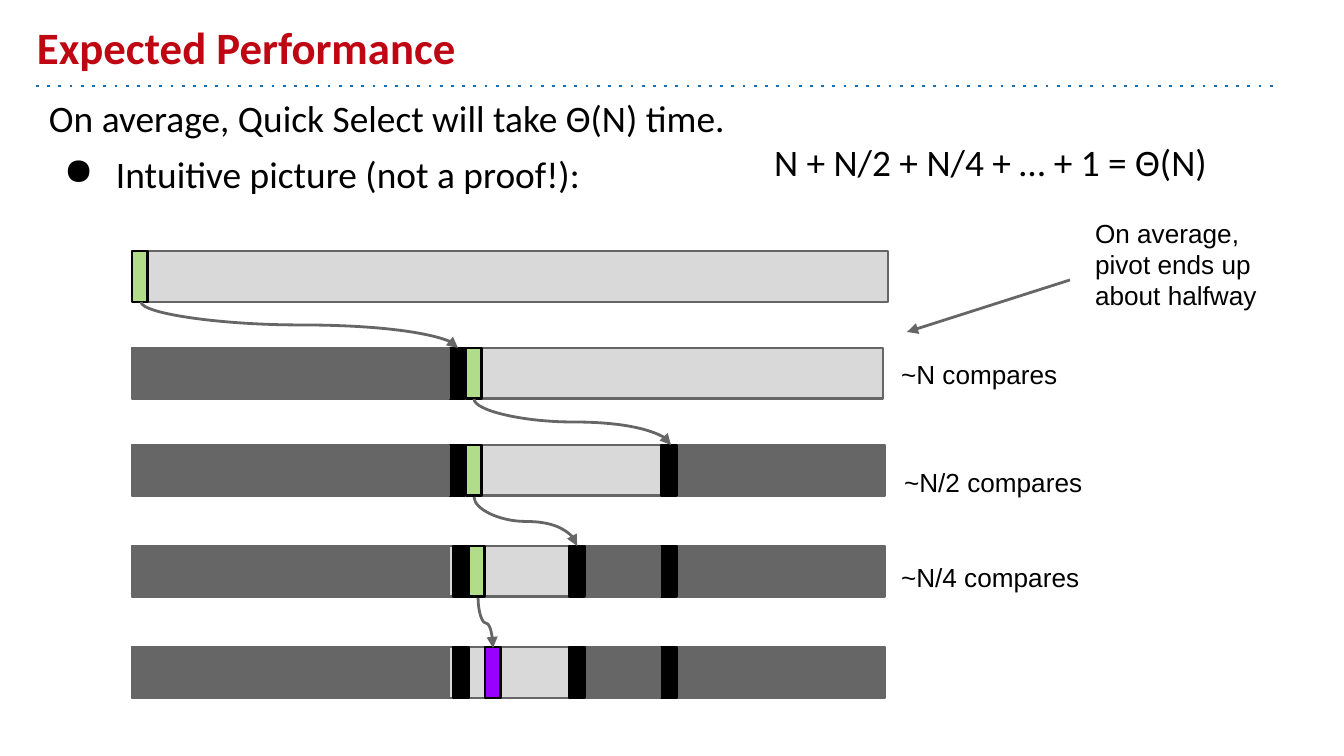
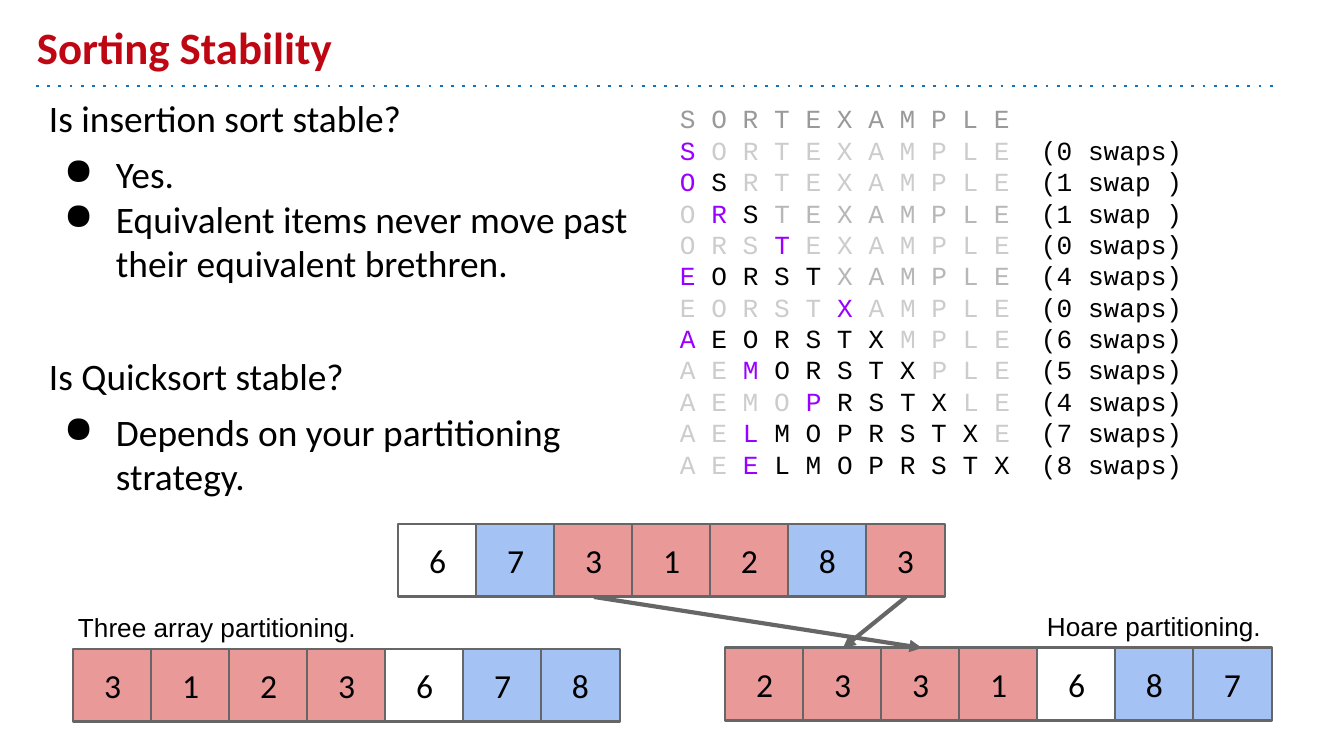
"""Builds two slides on Quick Select performance and sorting stability."""
from lxml.etree import SubElement
from pptx import Presentation
from pptx.dml.color import RGBColor
from pptx.enum.shapes import MSO_CONNECTOR as CONN, MSO_SHAPE as SHAPE
from pptx.enum.text import MSO_ANCHOR as ANCHOR, PP_ALIGN as ALIGN
from pptx.oxml.ns import qn
from pptx.util import Pt

PX = 914400 / 134.4
BLACK = RGBColor(0x00, 0x00, 0x00)
WHITE = RGBColor(0xFF, 0xFF, 0xFF)
RED = RGBColor(0xBE, 0x07, 0x12)
BLUE = RGBColor(0x10, 0x72, 0xBD)
DARK = RGBColor(0x66, 0x66, 0x66)
LIGHT = RGBColor(0xD9, 0xD9, 0xD9)
GREEN = RGBColor(0xB1, 0xDD, 0x8B)
PURPLE = RGBColor(0x99, 0x00, 0xFF)
PINK = RGBColor(0xEA, 0x99, 0x99)
SKY = RGBColor(0xA4, 0xC2, 0xF4)
HEADER_GREY = RGBColor(0x99, 0x99, 0x99)
MID_GREY = RGBColor(0xB7, 0xB7, 0xB7)
PALE_GREY = RGBColor(0xCC, 0xCC, 0xCC)


def add_text(s, box, text, font="Arial", size=14, color=BLACK, bold=False, anchor=ANCHOR.TOP):
    tf = s.shapes.add_textbox(*(round(v * PX) for v in box)).text_frame
    tf.word_wrap = True
    tf.vertical_anchor = anchor
    tf.margin_left = tf.margin_right = tf.margin_top = tf.margin_bottom = round(13 * PX)
    tf.text = text
    for p in tf.paragraphs:
        for r in p.runs:
            r.font.name, r.font.size, r.font.bold = font, Pt(size), bold
            r.font.color.rgb = color
    return tf


def add_box(s, box, fill, line):
    sp = s.shapes.add_shape(SHAPE.RECTANGLE, *(round(v * PX) for v in box))
    sp.shadow.inherit = False
    sp.fill.solid()
    sp.fill.fore_color.rgb = fill
    sp.line.color.rgb = line
    sp.line.width = Pt(1.5)
    return sp


prs = Presentation()
prs.slide_width, prs.slide_height = round(1344 * PX), round(756 * PX)
performance, stability = [prs.slides.add_slide(prs.slide_layouts[6]) for _ in range(2)]

contents = [
    (performance, "Expected Performance", (36, 82, 1240, 155), [
        ("On average, Quick Select will take Θ(N) time.", False, 0),
        ("Intuitive picture (not a proof!):", True, 6),
    ]),
    (stability, "Sorting Stability", (36, 82, 621, 610), [
        ("Is insertion sort stable?", False, 0),
        ("Yes.", True, 6),
        ("Equivalent items never move past their equivalent brethren.", True, 0),
        ("Is Quicksort stable?", False, 36),
        ("Depends on your partitioning strategy.", True, 6),
    ]),
]
for s, title, box, items in contents:
    add_text(s, (24, 13, 1210, 73), title, "Calibri", 24, RED, True, ANCHOR.BOTTOM)
    tf = add_text(s, box, "\n".join(item[0] for item in items), "Calibri", 20)
    for p, (_, bullet, space) in zip(tf.paragraphs, items):
        p.space_before = Pt(space)
        if bullet:
            pPr = p._p.get_or_add_pPr()
            pPr.set("marL", str(round(67 * PX)))
            pPr.set("indent", str(round(-52 * PX)))
            SubElement(pPr, qn("a:buChar"), char="●")

whole = (132, 751, LIGHT)
left = (132, 317, DARK)
low = (449, 16, BLACK)
low_next = (453, 16, BLACK)
middle = (569, 16, BLACK)
middle_right = (587, 73, DARK)
high = (661, 16, BLACK)
right = (679, 206, DARK)
pivot = (466, 16, GREEN)
bars = [
    (251, [(137, 751, LIGHT), (132, 16, GREEN)]),
    (348, [whole, low, left, pivot]),
    (445, [whole, low, left, high, right, pivot]),
    (546, [whole, left, high, right, middle, middle_right, low_next, (469, 16, GREEN)]),
    (647, [whole, left, high, right, middle, middle_right, low_next, (485, 16, PURPLE)]),
]
for y, parts in bars:
    for x, w, fill in parts:
        add_box(performance, (x, y, w, 51), fill, DARK if fill in (LIGHT, DARK) else BLACK)

for x, y, w, text in [
    (888, 345, 206, "~N compares"),
    (891, 453, 228, "~N/2 compares"),
    (888, 548, 228, "~N/4 compares"),
]:
    add_text(performance, (x, y, w, 60), text)
add_text(performance, (1082, 204, 228, 121), "On average, pivot ends up about halfway")
add_text(performance, (761, 126, 566, 66), "N + N/2 + N/4 + … + 1 = Θ(N)", "Calibri", 20)

letters = list("SORTEXAMPLE")
tf = add_text(stability, (667, 110, 550, 362), " ".join(letters), "Courier New", 14,
              HEADER_GREY, anchor=ANCHOR.MIDDLE)
for i in range(len(letters)):
    key = letters.pop(i)
    j = i
    while j > 0 and letters[j - 1] > key:
        j -= 1
    letters.insert(j, key)
    swaps = i - j
    p = tf.add_paragraph()
    tabs = SubElement(p._p.get_or_add_pPr(), qn("a:tabLst"))
    SubElement(tabs, qn("a:tab"), pos=str(round(361 * PX)), algn="l")
    runs = [
        (" ".join(letters[:j]), PALE_GREY),
        (key, PURPLE),
        (" ".join(letters[j + 1:i + 1]), BLACK),
        (" ".join(letters[i + 1:]), MID_GREY if i in (2, 4) else PALE_GREY),
        (f"\t({swaps} swap{' ' if swaps == 1 else 's'})", BLACK),
    ]
    for text, color in runs:
        if text:
            gap = " " if p.runs and not text.startswith("\t") else ""
            r = p.add_run()
            r.text = gap + text
            r.font.name, r.font.size = "Courier New", Pt(14)
            r.font.color.rgb = color

for x, y, digits in [(398, 524, "6731283"), (725, 648, "2331687"), (73, 649, "3123678")]:
    for i, digit in enumerate(digits):
        fill = PINK if digit < "6" else WHITE if digit == "6" else SKY
        sp = add_box(stability, (x + 78 * i, y, 79, 73), fill, DARK)
        sp.text_frame.text = digit
        p = sp.text_frame.paragraphs[0]
        p.alignment = ALIGN.CENTER
        r = p.runs[0]
        r.font.name, r.font.size = "Calibri", Pt(18)
        r.font.color.rgb = BLACK
add_text(stability, (1034, 597, 243, 51), "Hoare partitioning.")
add_text(stability, (65, 598, 313, 51), "Three array partitioning.")

lines = [
    (performance, "rule", 36, 86, 1277, 86, 1.5),
    (stability, "rule", 36, 86, 1277, 86, 1.5),
    (performance, "curve", 141, 302, 458, 348, 1.5),
    (performance, "curve", 474, 399, 671, 445, 1.5),
    (performance, "curve", 474, 497, 577, 546, 1.5),
    (performance, "curve", 478, 598, 493, 648, 1.5),
    (performance, "arrow", 1070, 280, 907, 332, 1.5),
    (stability, "arrow", 594, 597, 922, 648, 2.25),
    (stability, "arrow", 906, 597, 843, 648, 2.25),
]
for s, kind, x1, y1, x2, y2, width in lines:
    ends = (x1, y1, x2, y2)
    if kind == "curve":
        cx, cy, dx, dy = (x1 + x2) / 2, (y1 + y2) / 2, (x2 - x1) / 2, (y2 - y1) / 2
        ends = (cx + dy, cy - dx, cx - dy, cy + dx)
    c = s.shapes.add_connector(CONN.CURVE if kind == "curve" else CONN.STRAIGHT,
                               *(round(v * PX) for v in ends))
    c.line.color.rgb = BLUE if kind == "rule" else DARK
    c.line.width = Pt(width)
    spPr = c._element.spPr
    ln = spPr.find(qn("a:ln"))
    if kind == "rule":
        SubElement(ln, qn("a:prstDash"), val="dot")
    else:
        SubElement(ln, qn("a:tailEnd"), type="triangle")
    if kind == "curve":
        spPr.find(qn("a:xfrm")).set("rot", "16200000")
    SubElement(spPr, qn("a:effectLst"))

prs.save("out.pptx")
